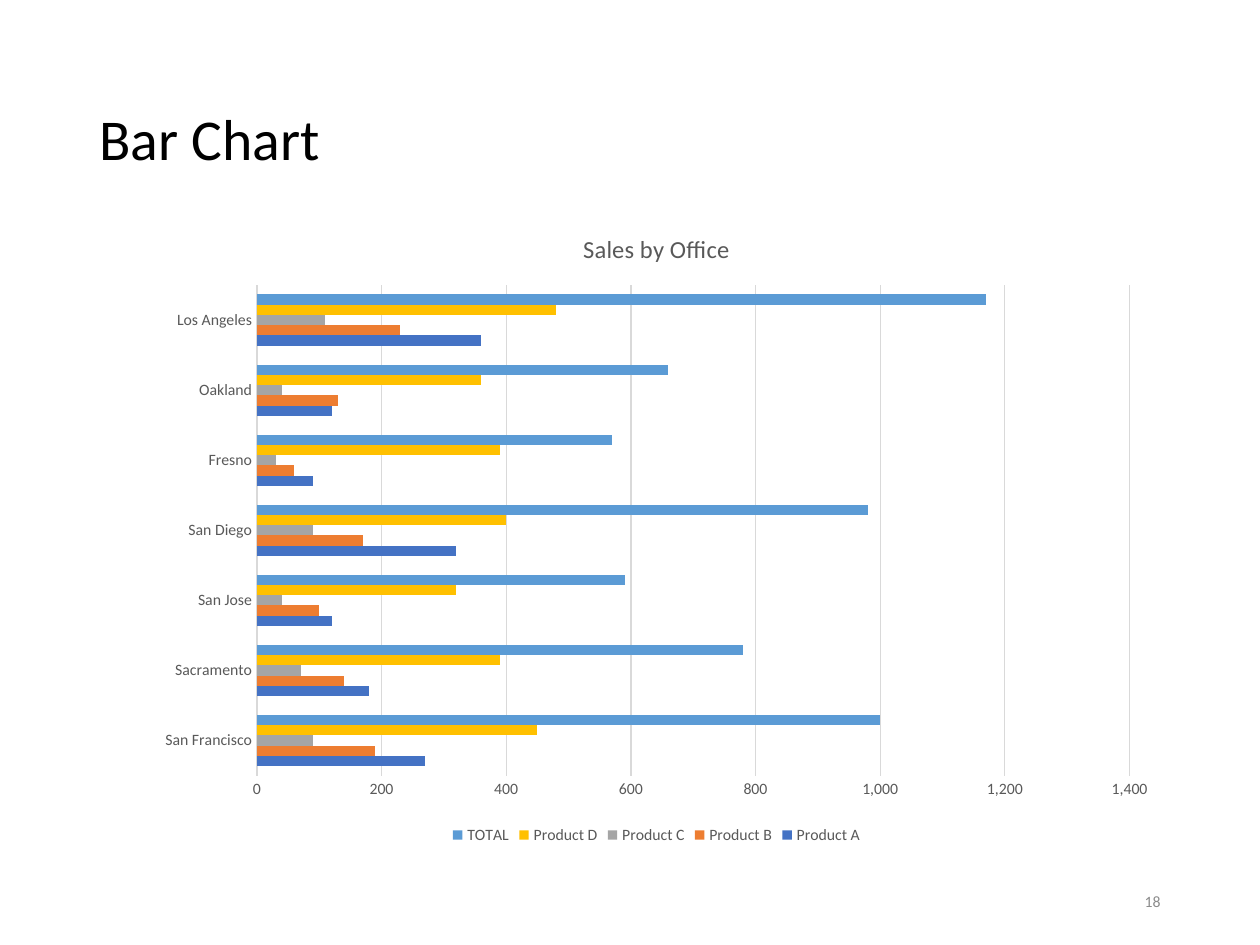
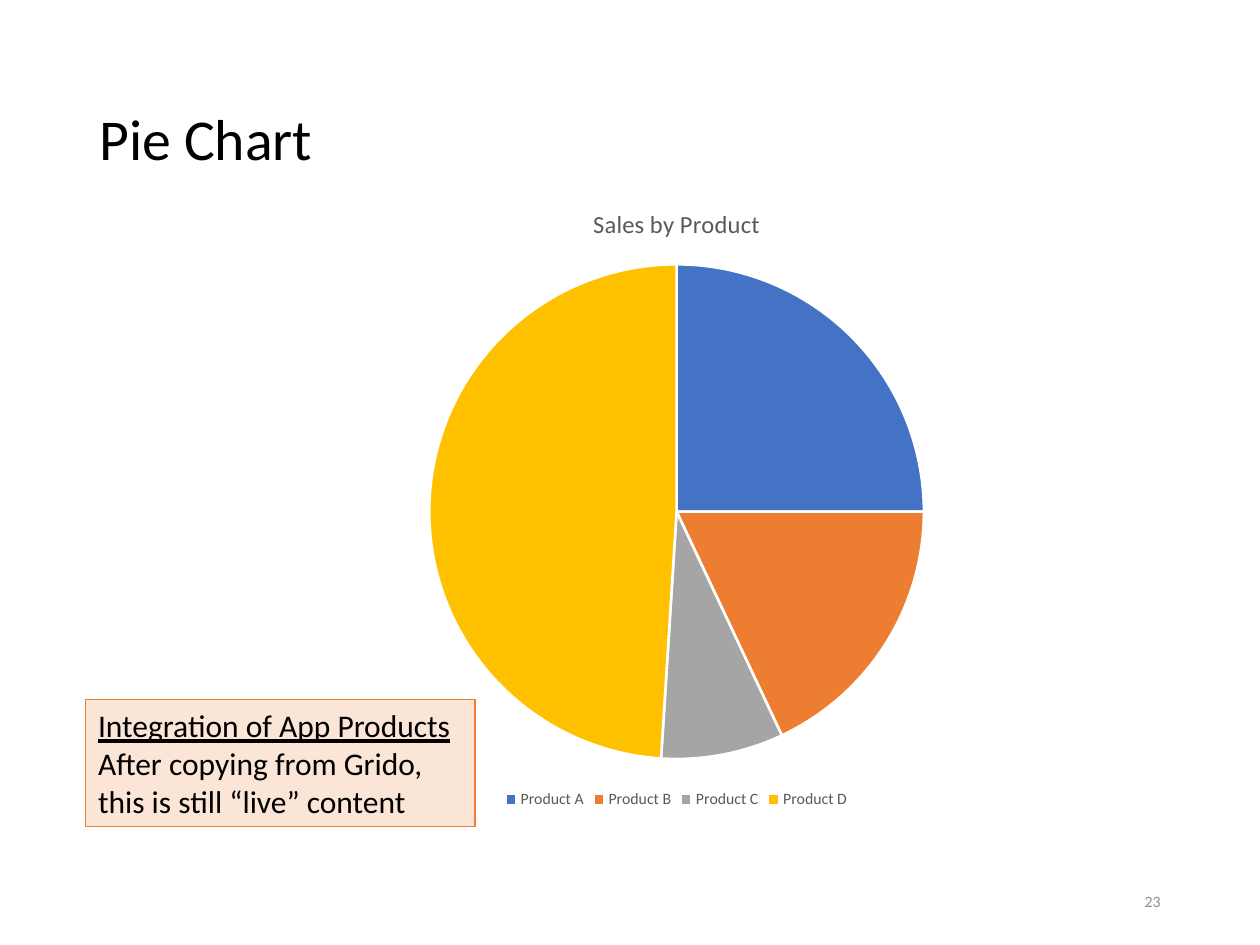
from pptx import Presentation
from pptx.chart.data import CategoryChartData
from pptx.dml.color import RGBColor
from pptx.enum.chart import XL_CHART_TYPE, XL_LEGEND_POSITION, XL_TICK_MARK
from pptx.enum.shapes import MSO_SHAPE
from pptx.enum.text import MSO_ANCHOR, PP_ALIGN
from pptx.util import Inches, Pt

BAR, PIE = XL_CHART_TYPE.BAR_CLUSTERED, XL_CHART_TYPE.PIE
BOTTOM = XL_LEGEND_POSITION.BOTTOM
NO_TICK = XL_TICK_MARK.NONE
RECTANGLE = MSO_SHAPE.RECTANGLE
MIDDLE = MSO_ANCHOR.MIDDLE
LEFT, RIGHT = PP_ALIGN.LEFT, PP_ALIGN.RIGHT

FONT = "Calibri"
BLACK, WHITE = "000000", "FFFFFF"
GREY, GRID_GREY, NUMBER_GREY = "595959", "D9D9D9", "8C8C8C"
ORANGE, PEACH = "ED7D31", "FBE5D6"
SERIES_COLORS = ["4472C4", ORANGE, "A5A5A5", "FFC000", "5B9BD5"]

TITLE_BOX = (0.69, 0.4, 8.62, 1.45)
NUMBER_BOX = (7.06, 6.95, 2.25, 0.4)

OFFICES = ["San Francisco", "Sacramento", "San Jose", "San Diego",
           "Fresno", "Oakland", "Los Angeles"]
OFFICE_SALES = {
    "Product A": [270, 180, 120, 320, 90, 120, 360],
    "Product B": [190, 140, 100, 170, 60, 130, 230],
    "Product C": [90, 70, 40, 90, 30, 40, 110],
    "Product D": [450, 390, 320, 400, 390, 360, 480],
    "TOTAL": [1000, 780, 590, 980, 570, 660, 1170],
}
PRODUCT_SHARES = {"Product A": 25, "Product B": 18, "Product C": 8, "Product D": 49}


def rgb(color):
    return RGBColor.from_string(color)


def inches(box):
    return [Inches(length) for length in box]


def style_font(font, size, color):
    font.name, font.size, font.bold = FONT, Pt(size), False
    font.color.rgb = rgb(color)


def set_fill(fill, color):
    fill.solid()
    fill.fore_color.rgb = rgb(color)


def set_line(line, color, width=0.75):
    line.color.rgb = rgb(color)
    line.width = Pt(width)


def add_run(para, text, size, color, underline=False):
    span = para.add_run()
    span.text = text
    style_font(span.font, size, color)
    span.font.underline = underline


def add_label(page, box, text, size, color, align=LEFT, spacing=1.0):
    frame = page.shapes.add_textbox(*inches(box)).text_frame
    frame.word_wrap = True
    frame.vertical_anchor = MIDDLE
    para = frame.paragraphs[0]
    para.alignment, para.line_spacing = align, spacing
    add_run(para, text, size, color)


def add_page(deck, title, number):
    """Add a blank slide with the shared title and slide number."""
    page = deck.slides.add_slide(deck.slide_layouts[6])
    add_label(page, TITLE_BOX, title, 33, BLACK, spacing=0.9)
    add_label(page, NUMBER_BOX, number, 9, NUMBER_GREY, align=RIGHT)
    return page


def add_chart(page, box, kind, title, categories, series):
    """Add a chart with the shared title and legend style."""
    data = CategoryChartData()
    data.categories = categories
    for name, values in series.items():
        data.add_series(name, values)
    chart = page.shapes.add_chart(kind, *inches(box), data).chart
    style_font(chart.font, 10, BLACK)
    chart.has_title = True
    chart.chart_title.include_in_layout = False
    add_run(chart.chart_title.text_frame.paragraphs[0], title, 14, GREY)
    chart.has_legend = True
    chart.legend.position = BOTTOM
    chart.legend.include_in_layout = False
    style_font(chart.legend.font, 9, GREY)
    return chart


def add_office_bars(page, box):
    chart = add_chart(page, box, BAR, "Sales by Office", OFFICES, OFFICE_SALES)
    plot = chart.plots[0]
    plot.gap_width = 182
    plot.vary_by_categories = False
    for series, color in zip(plot.series, SERIES_COLORS):
        set_fill(series.format.fill, color)
    for axis in (chart.category_axis, chart.value_axis):
        axis.major_tick_mark = axis.minor_tick_mark = NO_TICK
        style_font(axis.tick_labels.font, 9, GREY)
    set_line(chart.category_axis.format.line, GRID_GREY)
    sales = chart.value_axis
    sales.minimum_scale, sales.maximum_scale, sales.major_unit = 0, 1400, 200
    sales.format.line.fill.background()
    sales.has_major_gridlines = True
    set_line(sales.major_gridlines.format.line, GRID_GREY)
    sales.tick_labels.number_format = "#,##0"
    sales.tick_labels.number_format_is_linked = False


def add_product_pie(page, box):
    chart = add_chart(page, box, PIE, "Sales by Product", list(PRODUCT_SHARES),
                      {"Share": list(PRODUCT_SHARES.values())})
    plot = chart.plots[0]
    plot.vary_by_categories = True
    for index, color in enumerate(SERIES_COLORS[:len(PRODUCT_SHARES)]):
        slice_format = plot.series[0].points[index].format
        set_fill(slice_format.fill, color)
        set_line(slice_format.line, WHITE, 1.5)


def add_note(page, box, heading, body):
    note = page.shapes.add_shape(RECTANGLE, *inches(box))
    note.shadow.inherit = False
    set_fill(note.fill, PEACH)
    set_line(note.line, ORANGE)
    frame = note.text_frame
    frame.word_wrap = True
    frame.vertical_anchor = MIDDLE
    for para, text in ((frame.paragraphs[0], heading), (frame.add_paragraph(), body)):
        para.alignment = LEFT
        add_run(para, text, 18, BLACK, underline=text is heading)


def main():
    deck = Presentation()
    deck.slide_width, deck.slide_height = Inches(10), Inches(7.5)

    bar_page = add_page(deck, "Bar Chart", "18")
    add_office_bars(bar_page, (1.15, 1.65, 8.12, 5.09))

    pie_page = add_page(deck, "Pie Chart", "23")
    add_product_pie(pie_page, (1.43, 1.45, 7.88, 5.01))
    add_note(pie_page, (0.68, 5.55, 3.09, 1.01), "Integration of App Products",
             "After copying from Grido, this is still “live” content")

    deck.save("out.pptx")


if __name__ == "__main__":
    main()
